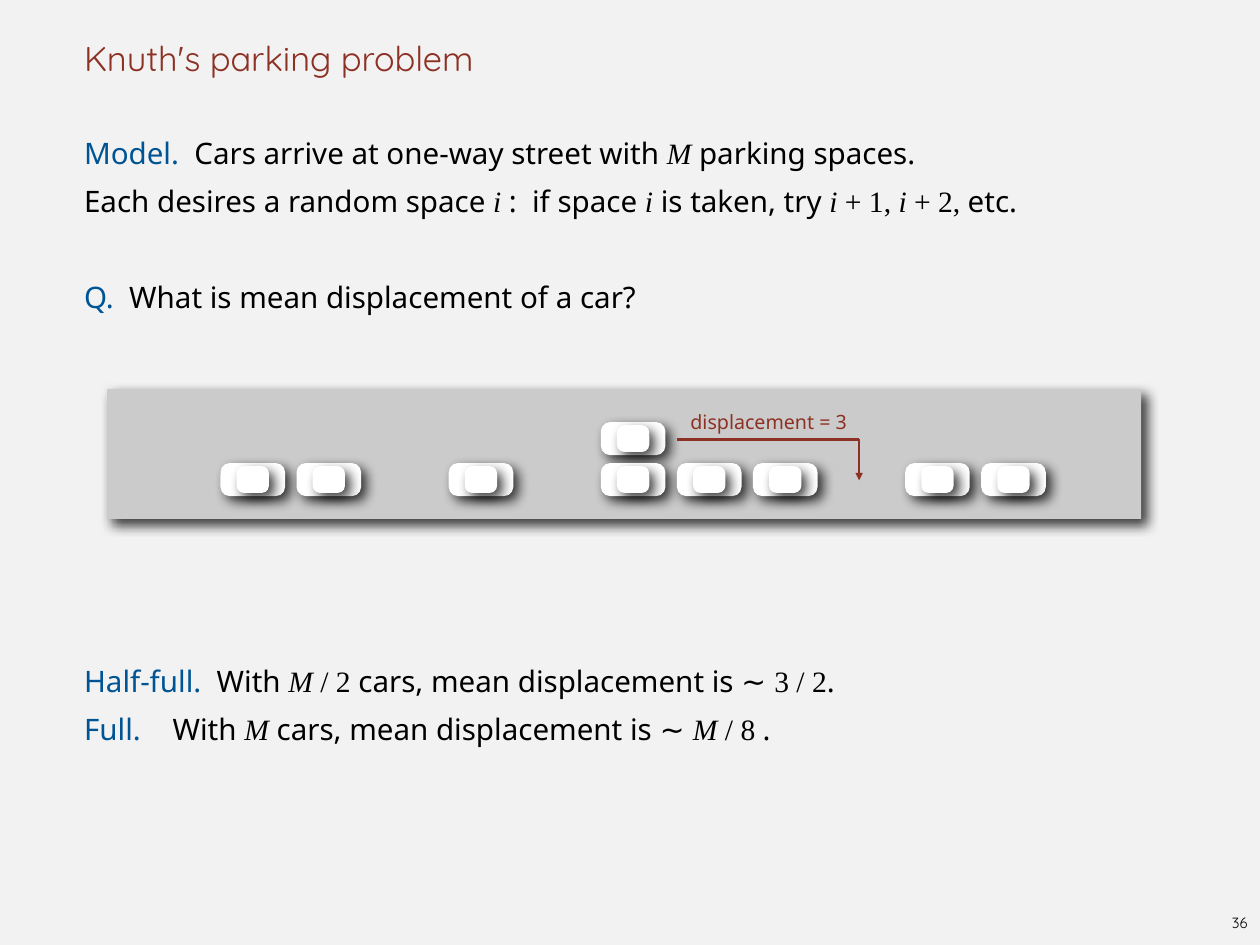
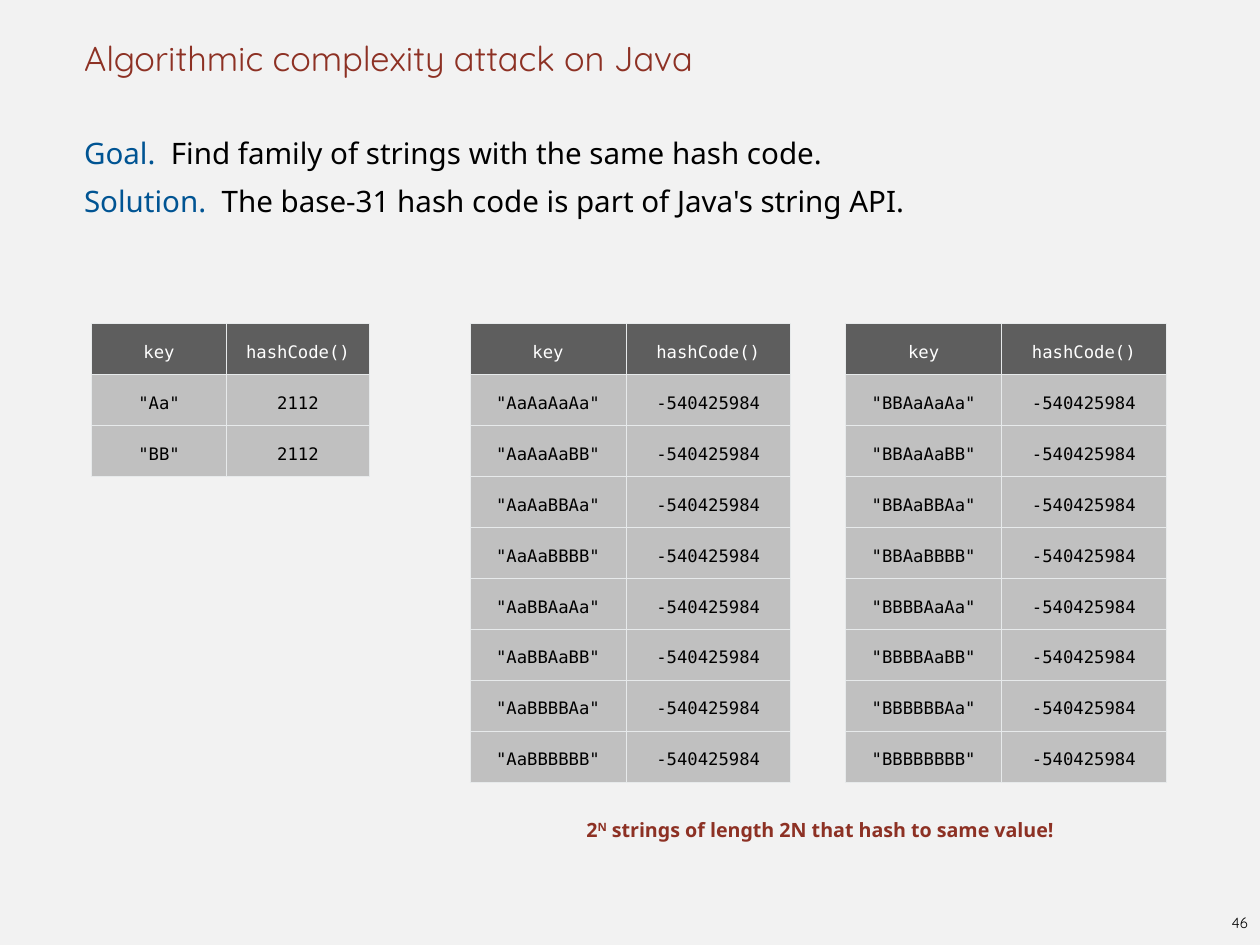
import itertools
from dataclasses import dataclass

import pptx
import pptx.dml.color
import pptx.enum.shapes
import pptx.enum.text
import pptx.oxml
import pptx.oxml.ns
import pptx.util
from lxml import etree

SHAPE = pptx.enum.shapes.MSO_SHAPE
ALIGN = pptx.enum.text.PP_ALIGN
ANCHOR = pptx.enum.text.MSO_ANCHOR
qn = pptx.oxml.ns.qn


@dataclass(frozen=True)
class Theme:
    paper: str = "F2F2F2"
    accent: str = "8D3124"
    label: str = "005493"
    ink: str = "000000"
    white: str = "FFFFFF"
    street: str = "CBCBCB"
    header: str = "5E5E5E"
    cell: str = "C0C0C0"
    rule: str = "E7EAEB"
    heading_font: str = "Quicksand"
    text_font: str = "Noto Sans"
    math_font: str = "Times New Roman"
    symbol_font: str = "Arial"
    code_font: str = "DejaVu Sans Mono"
    title_size: int = 28
    body_size: int = 24
    note_size: int = 16
    code_size: int = 14
    number_size: int = 12
    leading: int = 39
    inset: float = 0.06


THEME = Theme()
WIDTH, HEIGHT = pptx.util.Inches(14.22), pptx.util.Inches(10.67)
COLUMN, ROW = WIDTH / 16, HEIGHT / 12
TITLE_BOX = (1, 0, 14, 1)
BODY_BOX = (1, 1.56, 14, 10)
NUMBER_BOX = (15.52, 11.53, 0.38, 0.36)

LABEL = {"color": THEME.label}
TEXT = {}
VARIABLE = {"font": THEME.math_font, "italic": True}
MATH = {"font": THEME.math_font}
SYMBOL = {"font": THEME.symbol_font}


def place(box):
    left, top, width, height = box
    return int(left * COLUMN), int(top * ROW), int(width * COLUMN), int(height * ROW)


def rgb(value):
    return pptx.dml.color.RGBColor.from_string(value)


def add_xml(parent, tag, **attributes):
    child = etree.SubElement(parent, qn(tag))
    for key, value in attributes.items():
        child.set(key, str(value))
    return child


def style_run(run, size, font=THEME.text_font, color=THEME.ink, bold=False, italic=False):
    run.font.size = pptx.util.Pt(size)
    run.font.name = font
    run.font.color.rgb = rgb(color)
    run.font.bold = bold
    run.font.italic = italic


def fill_paragraph(paragraph, pieces, size):
    for text, style in pieces:
        run = paragraph.add_run()
        run.text = text
        style_run(run, size, **style)


def set_frame(frame, anchor=ANCHOR.TOP, wrap=True):
    frame.auto_size = pptx.enum.text.MSO_AUTO_SIZE.NONE
    frame.word_wrap = wrap
    frame.vertical_anchor = anchor
    frame.margin_left = pptx.util.Inches(THEME.inset)
    frame.margin_right = frame.margin_top = frame.margin_bottom = 0


def add_note(slide, box, pieces, size, align=ALIGN.LEFT, spacing=1.0, anchor=ANCHOR.TOP, wrap=True):
    frame = slide.shapes.add_textbox(*place(box)).text_frame
    set_frame(frame, anchor, wrap)
    paragraph = frame.paragraphs[0]
    paragraph.alignment = align
    paragraph.line_spacing = spacing
    fill_paragraph(paragraph, pieces, size)
    return paragraph


def prepare_layout(presentation):
    background = presentation.slide_master.background.fill
    background.solid()
    background.fore_color.rgb = rgb(THEME.paper)
    layout = presentation.slide_layouts[1]
    for holder, box in zip(layout.placeholders, (TITLE_BOX, BODY_BOX)):
        holder.left, holder.top, holder.width, holder.height = place(box)
    return layout


def start_slide(presentation, layout, title, lines, number):
    slide = presentation.slides.add_slide(layout)
    heading = slide.shapes.title.text_frame
    heading.text = title
    set_frame(heading, ANCHOR.BOTTOM)
    heading.paragraphs[0].alignment = ALIGN.LEFT
    style_run(heading.paragraphs[0].runs[0], THEME.title_size, THEME.heading_font, THEME.accent)

    body = slide.placeholders[1].text_frame
    set_frame(body)
    for index, (gap_lines, tabs, pieces) in enumerate(lines):
        paragraph = body.add_paragraph() if index else body.paragraphs[0]
        properties = paragraph._p.get_or_add_pPr()
        properties.set("marL", "0")
        properties.set("indent", "0")
        add_xml(properties, "a:buNone")
        if tabs:
            stops = add_xml(properties, "a:tabLst")
            for stop in tabs:
                add_xml(stops, "a:tab", pos=int(stop * COLUMN), algn="l")
        paragraph.line_spacing = pptx.util.Pt(THEME.leading)
        paragraph.space_before = pptx.util.Pt(gap_lines * THEME.leading)
        fill_paragraph(paragraph, pieces, THEME.body_size)

    add_note(slide, NUMBER_BOX, [(number, {"font": THEME.heading_font})], THEME.number_size,
             ALIGN.CENTER, anchor=ANCHOR.MIDDLE, wrap=False)
    return slide


def add_raised(slide, kind, box, color, rounding=None):
    block = slide.shapes.add_shape(kind, *place(box))
    if rounding:
        block.adjustments[0] = rounding
    block.fill.solid()
    block.fill.fore_color.rgb = rgb(color)
    block.line.fill.background()
    block.shadow.inherit = False
    effects = block._element.spPr.find(qn("a:effectLst"))
    shadow = add_xml(effects, "a:outerShdw", blurRad=pptx.util.Pt(10), dist=pptx.util.Pt(6),
                     dir=45 * 60000, algn="ctr", rotWithShape=0)
    shade = add_xml(shadow, "a:srgbClr", val=THEME.ink)
    add_xml(shade, "a:alpha", val=75000)


def add_car(slide, box):
    left, top, width, height = box
    roof_width, roof_height = width / 2, height * 0.81
    roof = (left + (width - roof_width) / 2, top + (height - roof_height) / 2, roof_width, roof_height)
    add_raised(slide, SHAPE.ROUNDED_RECTANGLE, box, THEME.white, 0.28)
    add_raised(slide, SHAPE.ROUNDED_RECTANGLE, roof, THEME.white, 0.27)


def add_path(slide, start, end, arrow=False):
    begin, finish = place((*start, 0, 0))[:2], place((*end, 0, 0))[:2]
    segment = slide.shapes.add_connector(pptx.enum.shapes.MSO_CONNECTOR.STRAIGHT, *begin, *finish)
    segment.line.color.rgb = rgb(THEME.accent)
    segment.line.width = pptx.util.Pt(2)
    if arrow:
        add_xml(segment.line._get_or_add_ln(), "a:tailEnd", type="triangle")
    add_xml(segment._element.spPr, "a:effectLst")


def add_street(slide, box):
    left, top = box[:2]
    first_space, last_space, last_index = 1.44, 11.1, 10
    parked_row, arriving_row = 0.94, 0.42

    def space(index):
        return left + first_space + (last_space - first_space) * index / last_index

    add_raised(slide, SHAPE.RECTANGLE, box, THEME.street)
    arriving = [(5, arriving_row)]
    parked = [(index, parked_row) for index in (0, 1, 3, 5, 6, 7, 9, 10)]
    for index, row in arriving + parked:
        add_car(slide, (space(index), top + row, 0.82, 0.42))
    corner = (left + 9.55, top + 0.64)
    add_path(slide, (space(6), corner[1]), corner)
    add_path(slide, corner, (corner[0], top + 1.16), arrow=True)
    add_note(slide, (left + 7.34, top + 0.12, 2.31, 0.41),
             [("displacement = 3", {"color": THEME.accent})], THEME.note_size, spacing=1.5)


def format_cell(cell, text, fill, color):
    cell.text = text
    cell.vertical_anchor = ANCHOR.MIDDLE
    cell.margin_left = cell.margin_right = pptx.util.Inches(THEME.inset)
    cell.margin_top = cell.margin_bottom = pptx.util.Inches(THEME.inset)
    paragraph = cell.text_frame.paragraphs[0]
    paragraph.alignment = ALIGN.CENTER
    paragraph.line_spacing = 1.3
    style_run(paragraph.runs[0], THEME.code_size, THEME.code_font, color)
    properties = cell._tc.get_or_add_tcPr()
    for side in ("a:lnL", "a:lnR", "a:lnT", "a:lnB"):
        border = add_xml(properties, side, w=pptx.util.Pt(1))
        add_xml(add_xml(border, "a:solidFill"), "a:srgbClr", val=THEME.rule)
    cell.fill.solid()
    cell.fill.fore_color.rgb = rgb(fill)


def add_hash_table(slide, left, top, widths, keys, code):
    records = [("key", "hashCode()")] + [(f'"{key}"', code) for key in keys]
    row_height = 5.83 / 9
    box = (left, top, sum(widths), row_height * len(records))
    table = slide.shapes.add_table(len(records), len(widths), *place(box)).table
    table.horz_banding = False
    for column, width in zip(table.columns, widths):
        column.width = int(width * COLUMN)
    for index, record in enumerate(records):
        table.rows[index].height = int(row_height * ROW)
        fill, color = (THEME.cell, THEME.ink) if index else (THEME.header, THEME.white)
        for position, text in enumerate(record):
            format_cell(table.cell(index, position), text, fill, color)


def build_parking(presentation, layout):
    lines = [
        (0, (), [("Model.  ", LABEL), ("Cars arrive at one-way street with ", TEXT),
                 ("M", VARIABLE), (" parking spaces.", TEXT)]),
        (0, (), [("Each desires a random space ", TEXT), ("i ", VARIABLE), (":  if space ", TEXT),
                 ("i", VARIABLE), (" is taken, try ", TEXT), ("i ", VARIABLE), ("+ 1, ", MATH),
                 ("i ", VARIABLE), ("+ 2, ", MATH), ("etc.", TEXT)]),
        (1, (), [("Q.", LABEL), ("  What is mean displacement of a car?", TEXT)]),
        (7, (), [("Half-full.  ", LABEL), ("With ", TEXT), ("M ", VARIABLE), ("/ 2", MATH),
                 (" cars, mean displacement is ", TEXT), ("∼ ", SYMBOL), ("3 / 2", MATH), (".", TEXT)]),
        (0, (1.3, 8.2), [("Full.\t", LABEL), ("With ", TEXT), ("M", VARIABLE),
                         (" cars, mean displacement is\t", TEXT), ("∼ ", SYMBOL),
                         ("M ", VARIABLE), ("/ 8 ", MATH), (".", TEXT)]),
    ]
    slide = start_slide(presentation, layout, "Knuth's parking problem", lines, "36")
    add_street(slide, (1.36, 4.94, 13.13, 1.65))


def build_attack(presentation, layout):
    lines = [
        (0, (), [("Goal.  ", LABEL), ("Find family of strings with the same hash code.", TEXT)]),
        (0, (), [("Solution.  ", LABEL),
                 ("The base-31 hash code is part of Java's string API.", TEXT)]),
    ]
    slide = start_slide(presentation, layout, "Algorithmic complexity attack on Java", lines, "46")
    blocks = ("Aa", "BB")
    keys = ["".join(parts) for parts in itertools.product(blocks, repeat=4)]
    tables_top, wide = 4.11, (1.98, 2.09)
    half = len(keys) // 2
    add_hash_table(slide, 1.16, tables_top, (1.72, 1.81), blocks, "2112")
    add_hash_table(slide, 5.97, tables_top, wide, keys[:half], "-540425984")
    add_hash_table(slide, 10.74, tables_top, wide, keys[half:], "-540425984")
    strong = {"color": THEME.accent, "bold": True}
    conclusion = add_note(slide, (5.95, 10.24, 8.86, 0.41),
                          [("2", strong), ("N", strong),
                           (" strings of length 2N that hash to same value!", strong)],
                          THEME.note_size, ALIGN.CENTER, 1.5)
    conclusion.runs[1].font._element.set("baseline", "32000")


def main():
    presentation = pptx.Presentation()
    presentation.slide_width, presentation.slide_height = WIDTH, HEIGHT
    layout = prepare_layout(presentation)
    build_parking(presentation, layout)
    build_attack(presentation, layout)
    presentation.save("out.pptx")


if __name__ == "__main__":
    main()
